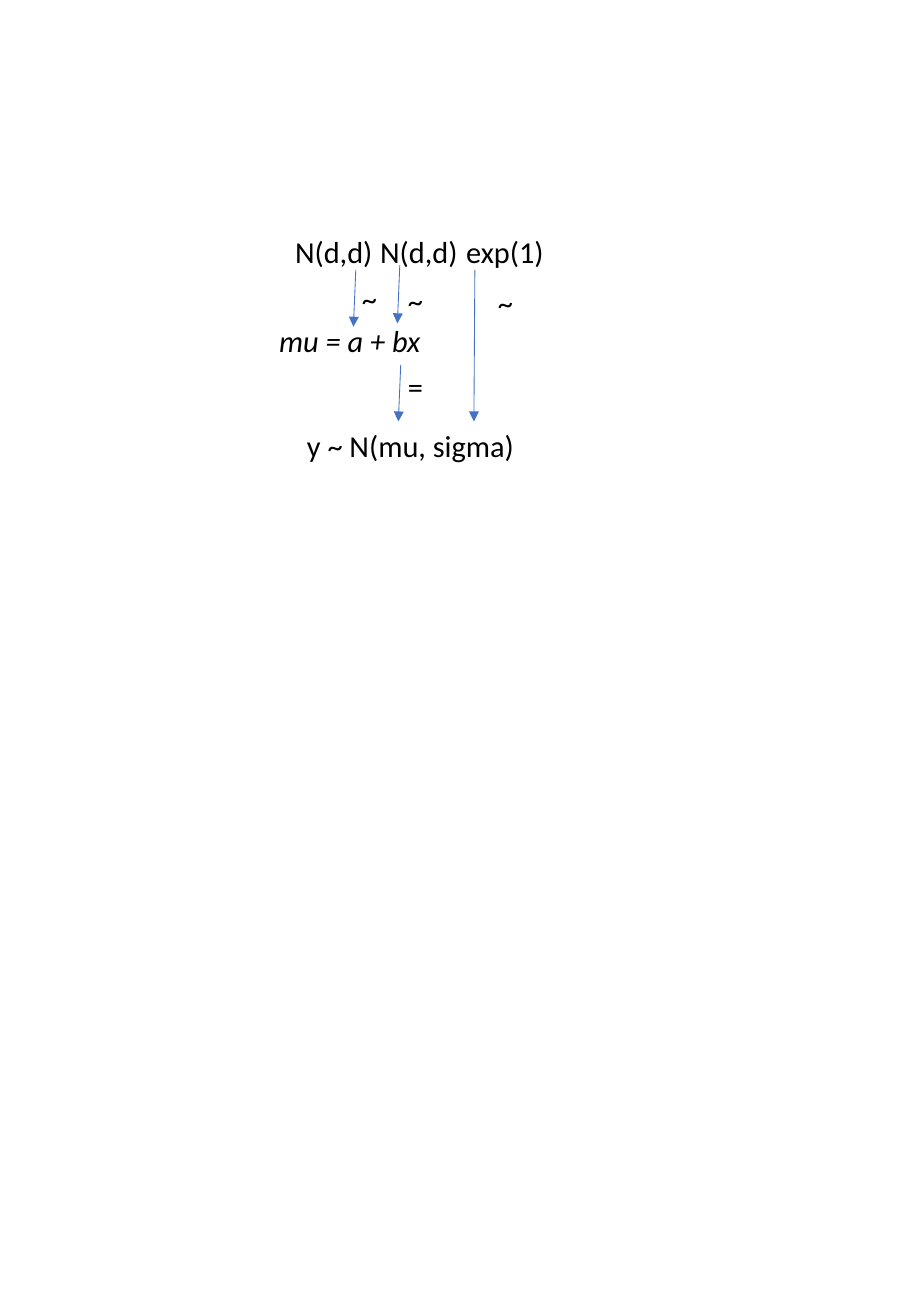
from lxml import etree
from pptx import Presentation
from pptx.dml.color import RGBColor
from pptx.enum.shapes import MSO_CONNECTOR
from pptx.enum.text import MSO_AUTO_SIZE as AutoSize
from pptx.oxml.ns import qn
from pptx.util import Cm, Pt


def colour(hex_code):
    return RGBColor.from_string(hex_code)


class ModelDiagram:
    font_name = "Calibri"
    font_size = Pt(18)
    text_colour = "000000"
    arrow_colour = "4472C4"
    arrow_width = Pt(0.5)
    label_height = Cm(1.02)

    def __init__(self, slide):
        self.slide = slide

    def label(self, text, left, top, width, italic=False):
        shape = self.slide.shapes.add_textbox(Cm(left), Cm(top), Cm(width), self.label_height)
        frame = shape.text_frame
        frame.text = text
        frame.word_wrap = False
        frame.auto_size = AutoSize.SHAPE_TO_FIT_TEXT
        font = frame.paragraphs[0].runs[0].font
        font.name, font.size, font.italic = self.font_name, self.font_size, italic
        font.color.rgb = colour(self.text_colour)

    def arrow(self, start_x, start_y, end_x, end_y):
        connector = self.slide.shapes.add_connector(
            MSO_CONNECTOR.STRAIGHT, Cm(start_x), Cm(start_y), Cm(end_x), Cm(end_y))
        connector.line.color.rgb = colour(self.arrow_colour)
        connector.line.width = self.arrow_width
        etree.SubElement(connector.line._get_or_add_ln(), qn("a:tailEnd"), type="triangle")
        etree.SubElement(connector._element.spPr, qn("a:effectLst"))


def main():
    presentation = Presentation()
    presentation.slide_width, presentation.slide_height = Cm(19.05), Cm(27.51)
    diagram = ModelDiagram(presentation.slides.add_slide(presentation.slide_layouts[6]))

    # Priors on one row
    prior_top, prior_width = 4.75, 2.16
    for prior, left in (("N(d,d)", 5.92), ("N(d,d)", 7.7), ("exp(1)", 9.5)):
        diagram.label(prior, left, prior_top, prior_width)

    # Linear model and likelihood
    diagram.label("mu = a + bx", 5.59, 6.6, 3.51, italic=True)
    diagram.label("y ~ N(mu, sigma)", 6.17, 8.81, 4.9)

    # Each arrow with the relation beside it
    symbol_width = 0.84
    relations = (
        ("~", (7.32, 5.74), (7.44, 5.64, 7.39, 6.83)),
        ("~", (8.28, 5.77), (8.36, 5.54, 8.31, 6.76)),
        ("~", (10.16, 5.82), (9.93, 5.64, 9.91, 8.81)),
        ("=", (8.28, 7.57), (8.38, 7.62, 8.33, 8.81)),
    )
    for symbol, position, ends in relations:
        diagram.arrow(*ends)
        diagram.label(symbol, *position, symbol_width)

    presentation.save("out.pptx")


if __name__ == "__main__":
    main()
